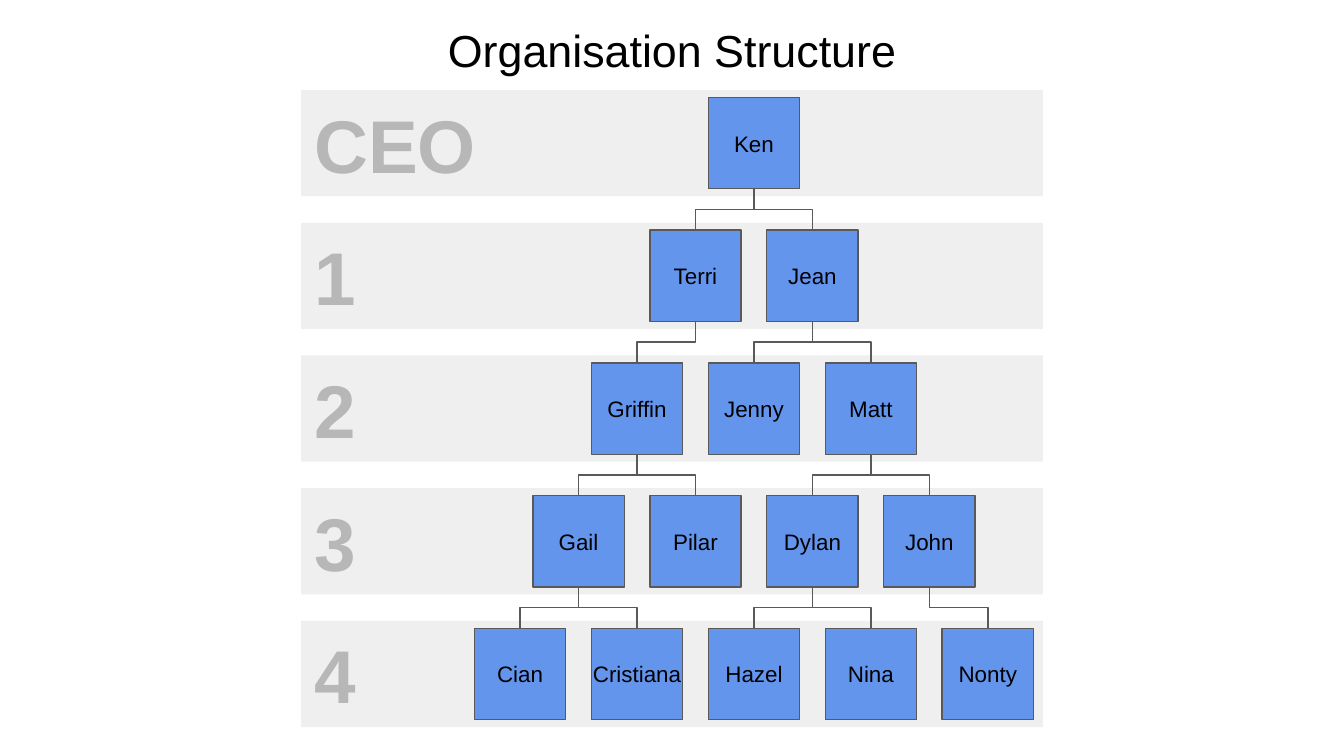
import pptx
import pptx.dml.color
import pptx.enum.shapes
import pptx.enum.text
import pptx.oxml.ns
import pptx.util
from pptx.util import Inches

RGBColor = pptx.dml.color.RGBColor
BLACK = RGBColor(0x00, 0x00, 0x00)
BAND_GREY = RGBColor(0xEF, 0xEF, 0xEF)
LABEL_GREY = RGBColor(0xB7, 0xB7, 0xB7)
LINE_GREY = RGBColor(0x59, 0x59, 0x59)
PERSON_BLUE = RGBColor(0x64, 0x95, 0xED)
ALIGN = pptx.enum.text.PP_ALIGN
ANCHOR = pptx.enum.text.MSO_ANCHOR

TITLE = "Organisation Structure"
LEVELS = [
    ("CEO", ["Ken"]),
    ("1", ["Terri", "Jean"]),
    ("2", ["Griffin", "Jenny", "Matt"]),
    ("3", ["Gail", "Pilar", "Dylan", "John"]),
    ("4", ["Cian", "Cristiana", "Hazel", "Nina", "Nonty"]),
]
REPORTS = {
    "Ken": ["Terri", "Jean"],
    "Terri": ["Griffin"],
    "Jean": ["Jenny", "Matt"],
    "Griffin": ["Gail", "Pilar"],
    "Matt": ["Dylan", "John"],
    "Gail": ["Cian", "Cristiana"],
    "Dylan": ["Hazel", "Nina"],
    "John": ["Nonty"],
}

SLIDE_WIDTH = Inches(10)
SLIDE_HEIGHT = SLIDE_WIDTH * 9 // 16
BAND_LEFT, BAND_WIDTH, BAND_HEIGHT = Inches(2.24), Inches(5.52), Inches(0.79)
FIRST_TOP, LAST_TOP = Inches(0.67), Inches(4.62)
LEVEL_STEP = (LAST_TOP - FIRST_TOP) / (len(LEVELS) - 1)
PERSON_SIZE = Inches(0.68)
TREE_CENTRE = Inches(5.61)
PERSON_STEP = Inches(0.87)
BOTTOM_SITE, TOP_SITE = 2, 0


def write(shape, text, size, color, align, anchor, inset, bold=False):
    frame = shape.text_frame
    frame.word_wrap = True
    frame.vertical_anchor = anchor
    frame.margin_left = frame.margin_right = Inches(inset)
    frame.margin_top = frame.margin_bottom = Inches(inset)
    para = frame.paragraphs[0]
    para.alignment = align
    span = para.add_run()
    span.text = text
    span.font.name = "Arial"
    span.font.size = pptx.util.Pt(size)
    span.font.bold = bold
    span.font.color.rgb = color


def add_box(page, left, top, width, height, fill):
    box = page.shapes.add_shape(
        pptx.enum.shapes.MSO_SHAPE.RECTANGLE, int(left), int(top), width, height)
    box.shadow.inherit = False
    box.fill.solid()
    box.fill.fore_color.rgb = fill
    return box


def outline(line):
    line.color.rgb = LINE_GREY
    line.width = pptx.util.Pt(0.75)


def add_link(page, boss, report):
    start_x, start_y = boss.left + boss.width // 2, boss.top + boss.height
    end_x, end_y = report.left + report.width // 2, report.top
    link = page.shapes.add_connector(
        pptx.enum.shapes.MSO_CONNECTOR.ELBOW, start_x, start_y, end_x, end_y)
    link.begin_connect(boss, BOTTOM_SITE)
    link.end_connect(report, TOP_SITE)
    drop, shift = end_y - start_y, abs(end_x - start_x)
    link.left = (start_x + end_x - drop) // 2
    link.top = (start_y + end_y - shift) // 2
    link.width, link.height = drop, shift
    goes_right = end_x > start_x
    properties = link._element.spPr
    frame = properties.find(pptx.oxml.ns.qn("a:xfrm"))
    frame.set("rot", str((270 if goes_right else 90) * 60000))
    frame.set("flipH", "1" if goes_right else "0")
    frame.set("flipV", "0")
    outline(link.line)
    properties.append(pptx.oxml.parse_xml(
        f'<a:effectLst {pptx.oxml.ns.nsdecls("a")}/>'))


def main():
    deck = pptx.Presentation()
    deck.slide_width, deck.slide_height = SLIDE_WIDTH, SLIDE_HEIGHT
    page = deck.slides.add_slide(deck.slide_layouts[5])

    title = page.shapes.title
    title.left, title.top = Inches(3.1), Inches(0.07)
    title.width, title.height = Inches(3.8), Inches(0.61)
    write(title, TITLE, 24, BLACK, ALIGN.CENTER, ANCHOR.TOP, 0.1)

    tops = [FIRST_TOP + level * LEVEL_STEP for level in range(len(LEVELS))]
    for top, (label, _) in zip(tops, LEVELS):
        band = add_box(page, BAND_LEFT, top, BAND_WIDTH, BAND_HEIGHT, BAND_GREY)
        band.line.fill.background()
        write(band, label, 40, LABEL_GREY, ALIGN.LEFT, ANCHOR.MIDDLE, 0.1, True)

    people = {}
    for top, (_, names) in zip(tops, LEVELS):
        for index, name in enumerate(names):
            centre = TREE_CENTRE + (index - (len(names) - 1) / 2) * PERSON_STEP
            person = add_box(
                page, centre - PERSON_SIZE / 2, top + (BAND_HEIGHT - PERSON_SIZE) / 2,
                PERSON_SIZE, PERSON_SIZE, PERSON_BLUE)
            outline(person.line)
            write(person, name, 12, BLACK, ALIGN.CENTER, ANCHOR.MIDDLE, 0)
            people[name] = person

    for boss, reports in REPORTS.items():
        for report in reports:
            add_link(page, people[boss], people[report])

    deck.save("out.pptx")


if __name__ == "__main__":
    main()
